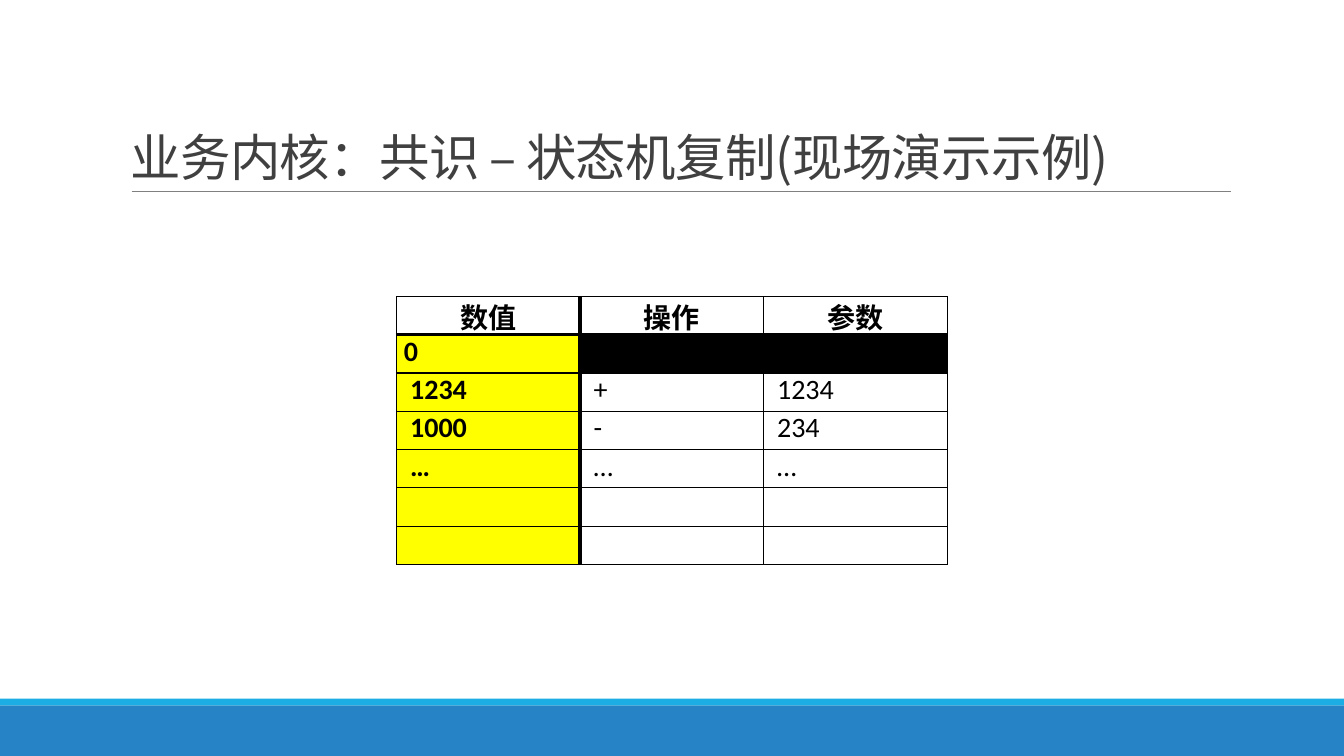
from lxml import etree
from pptx import Presentation, util as u
from pptx.dml.color import RGBColor
from pptx.enum import shapes, text
from pptx.oxml.ns import qn

WIDTH, HEIGHT = u.Inches(13.33), u.Inches(7.5)
BLUE = RGBColor(0x26, 0x83, 0xC6)
CYAN = RGBColor(0x1C, 0xAD, 0xE4)
GREY = RGBColor(0x80, 0x80, 0x80)
DARK = RGBColor(0x40, 0x40, 0x40)
BLACK = RGBColor(0, 0, 0)
WHITE = RGBColor(255, 255, 255)
YELLOW = RGBColor(255, 255, 0)
CJK_FONT = "Noto Sans CJK SC"
LATIN_FONT = "Calibri"
COLUMN, ROW = u.Inches(1.82), u.Inches(0.38)

HEADINGS = ["数值", "操作", "参数"]
STATES = [
    ["0", "", ""],
    [" 1234", " +", " 1234"],
    [" 1000", " -", " 234"],
    [" …", " …", " …"],
    ["", "", ""],
    ["", "", ""],
]


def across(share):
    return round(WIDTH * share)


def down(share):
    return round(HEIGHT * share)


def add_band(page, top, height, color):
    band = page.shapes.add_shape(
        shapes.MSO_SHAPE.RECTANGLE, 0, down(top), WIDTH, down(height))
    band.shadow.inherit = False
    band.fill.solid()
    band.fill.fore_color.rgb = color
    band.line.fill.background()


def add_rule(page, left, right, top):
    rule = page.shapes.add_connector(
        shapes.MSO_CONNECTOR.STRAIGHT,
        across(left), down(top), across(right), down(top))
    rule.line.color.rgb = GREY
    rule.line.width = u.Pt(0.5)
    etree.SubElement(rule._element.spPr, qn("a:effectLst"))


def add_span(para, words, font, size, color, bold=False):
    span = para.add_run()
    span.text = words
    span.font.name = font
    span.font.size = u.Pt(size)
    span.font.bold = bold
    span.font.color.rgb = color
    east_asian = etree.Element(qn("a:ea"), typeface=CJK_FONT)
    span.font._element.find(qn("a:latin")).addnext(east_asian)
    return span


def add_title(page, words):
    box = page.shapes.add_textbox(
        across(0.09), down(0.041), across(0.825), down(0.212))
    frame = box.text_frame
    frame.word_wrap = True
    frame.vertical_anchor = text.MSO_ANCHOR.BOTTOM
    para = frame.paragraphs[0]
    para.line_spacing = 0.85
    span = add_span(para, words, CJK_FONT, 36, DARK)
    span.font._element.set("spc", "-50")


def add_borders(cell, **points):
    properties = cell._tc.get_or_add_tcPr()
    for place, side in enumerate("LRTB"):
        line = etree.Element(qn(f"a:ln{side}"), w=str(u.Pt(points.get(side, 1))))
        fill = etree.SubElement(line, qn("a:solidFill"))
        etree.SubElement(fill, qn("a:srgbClr"), val=str(BLACK))
        properties.insert(place, line)


def fill_cell(cell, words, row, column):
    cell.margin_left = cell.margin_right = u.Inches(0.07)
    cell.margin_top = cell.margin_bottom = 0
    heading = row == 0
    if heading:
        cell.fill.background()
    else:
        cell.fill.solid()
        blocked = BLACK if row == 1 else WHITE
        cell.fill.fore_color.rgb = YELLOW if column == 0 else blocked
    if words:
        para = cell.text_frame.paragraphs[0]
        para.alignment = (text.PP_ALIGN.CENTER if heading
                          else text.PP_ALIGN.JUSTIFY)
        add_span(para, words, LATIN_FONT, 20, BLACK, heading or column == 0)
    add_borders(cell, L=3 if column == 1 else 1, R=3 if column == 0 else 1,
                T=2 if row == 1 else 1, B=2 if heading else 1)


def add_state_table(page, rows):
    count = len(rows[0])
    frame = page.shapes.add_table(
        len(rows), count, (WIDTH - count * COLUMN) // 2, down(0.392),
        count * COLUMN, len(rows) * ROW)
    table = frame.table
    table.horz_banding = table.first_row = False
    for column in table.columns:
        column.width = COLUMN
    for row, values in enumerate(rows):
        table.rows[row].height = ROW
        for column, words in enumerate(values):
            fill_cell(table.cell(row, column), words, row, column)


def main():
    deck = Presentation()
    deck.slide_width, deck.slide_height = WIDTH, HEIGHT
    page = deck.slides.add_slide(deck.slide_layouts[6])
    add_band(page, 0.933, 0.067, BLUE)
    add_band(page, 0.924, 0.009, CYAN)
    add_rule(page, 0.098, 0.916, 0.253)
    add_title(page, "业务内核：共识 – 状态机复制(现场演示示例)")
    add_state_table(page, [HEADINGS] + STATES)
    deck.save("out.pptx")


if __name__ == "__main__":
    main()
